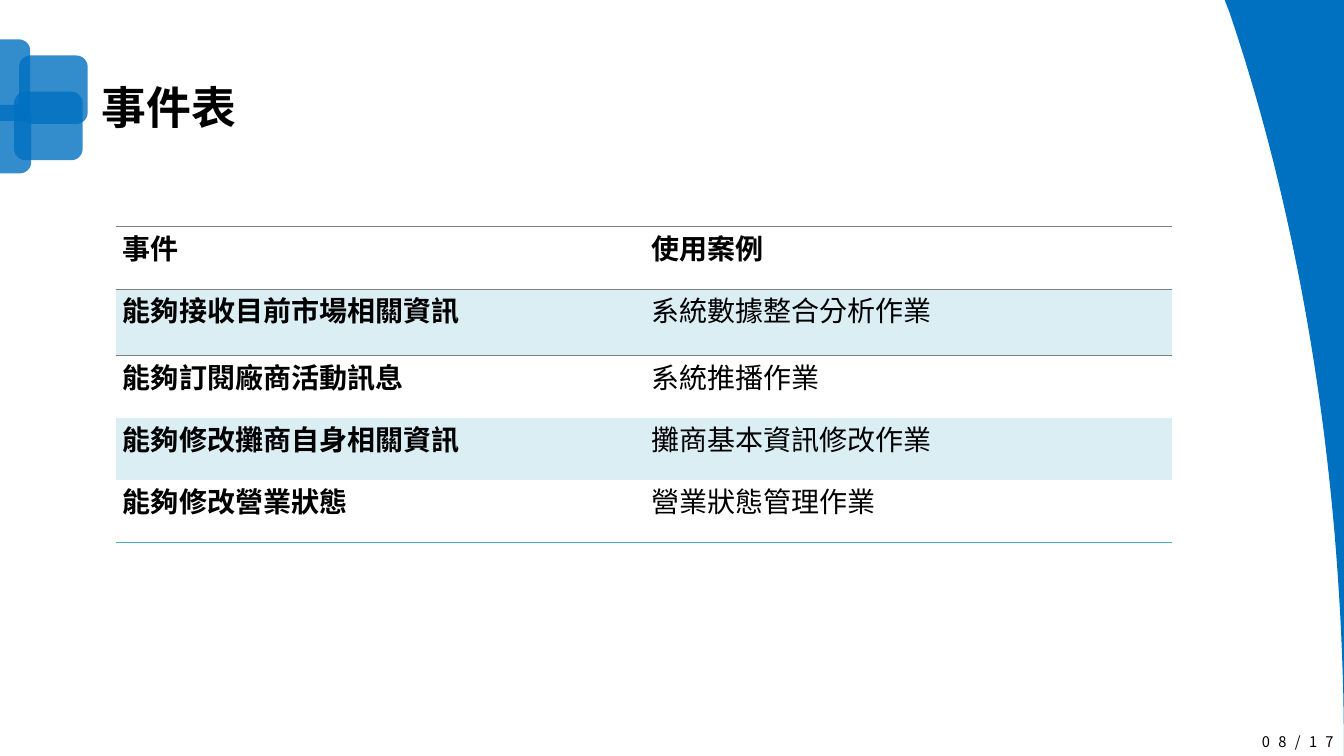
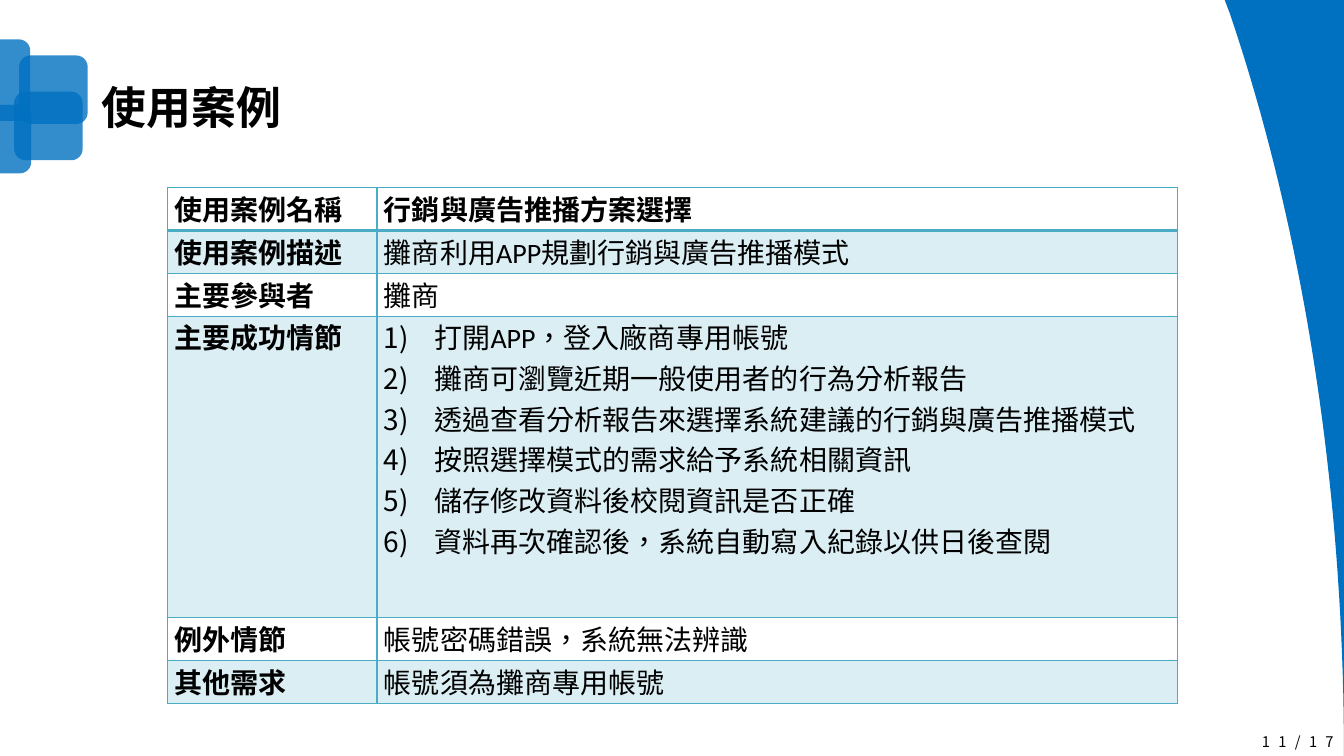
"""Build two slides that present events and a use case in tables."""
from dataclasses import dataclass

from lxml import etree
from pptx import Presentation
from pptx.dml.color import RGBColor
from pptx.enum.shapes import MSO_SHAPE
from pptx.enum.text import MSO_ANCHOR, PP_ALIGN
from pptx.oxml.ns import qn
from pptx.util import Inches, Pt

ROUNDED = MSO_SHAPE.ROUNDED_RECTANGLE
MIDDLE, TOP = MSO_ANCHOR.MIDDLE, MSO_ANCHOR.TOP
LEFT, RIGHT = PP_ALIGN.LEFT, PP_ALIGN.RIGHT

WIDTH, HEIGHT = Inches(13.33), Inches(7.5)
COLUMNS, ROWS = 160, 90
TITLE_ONLY = 5
PLAIN_TABLE = "{2D5ABB26-0587-4C30-8999-92F81FD0307C}"
BORDER_TAGS = {"left": "a:lnL", "right": "a:lnR", "top": "a:lnT", "bottom": "a:lnB"}

TITLE_BOX = (10.92, 9.48, 75.36, 7.2)
PAGE_BOX = (146.76, 86.52, 13.2, 3.48)
TILES = (
    (-4.56, 4.68, 8.16, 9.72),
    (2.28, 6.6, 8.16, 8.16),
    (1.68, 10.92, 8.16, 8.16),
    (-4.44, 12.48, 8.16, 8.16),
)
CURVE = ((160, 90), (160, 57.24), (154.92, 26.76), (146.4, 1.56))
CURVE_STEPS = 40
CURVE_TIP = (145.8, 0)

EVENTS = (
    ("事件", "使用案例"),
    ("能夠接收目前市場相關資訊", "系統數據整合分析作業"),
    ("能夠訂閱廠商活動訊息", "系統推播作業"),
    ("能夠修改攤商自身相關資訊", "攤商基本資訊修改作業"),
    ("能夠修改營業狀態", "營業狀態管理作業"),
)
SUCCESS_STEPS = (
    "打開APP，登入廠商專用帳號",
    "攤商可瀏覽近期一般使用者的行為分析報告",
    "透過查看分析報告來選擇系統建議的行銷與廣告推播模式",
    "按照選擇模式的需求給予系統相關資訊",
    "儲存修改資料後校閱資訊是否正確",
    "資料再次確認後，系統自動寫入紀錄以供日後查閱",
)
USE_CASE = (
    ("使用案例名稱", "行銷與廣告推播方案選擇"),
    ("使用案例描述", "攤商利用APP規劃行銷與廣告推播模式"),
    ("主要參與者", "攤商"),
    ("主要成功情節", SUCCESS_STEPS),
    ("例外情節", "帳號密碼錯誤，系統無法辨識"),
    ("其他需求", "帳號須為攤商專用帳號"),
)


@dataclass(frozen=True)
class Theme:
    """Colours, fonts and type sizes of the deck."""

    accent: str = "0070C0"
    text: str = "000000"
    line: str = "4BACC6"
    header_line: str = "7F7F7F"
    band: str = "DBEEF4"
    font: str = "Calibri"
    asian_font: str = "Noto Sans CJK SC"
    title_size: float = 32
    table_size: float = 20
    page_size: float = 10.5
    tile_opacity: int = 80


def assign(target, values):
    """Set each attribute of the target from a dict."""
    for name, value in values.items():
        setattr(target, name, value)


def bezier(points, share):
    """Return the point of a cubic curve at a share of its course."""
    rest = 1 - share
    weights = (rest**3, 3 * rest**2 * share, 3 * rest * share**2, share**3)
    return tuple(sum(w * p[axis] for w, p in zip(weights, points)) for axis in (0, 1))


class Deck:
    """A presentation with one style and a current slide."""

    def __init__(self, theme):
        """Start an empty presentation."""
        self.theme = theme
        self.presentation = Presentation()
        assign(self.presentation, {"slide_width": WIDTH, "slide_height": HEIGHT})
        self.slide = None

    def across(self, columns):
        """Turn grid columns into a length."""
        return round(WIDTH * columns / COLUMNS)

    def down(self, rows):
        """Turn grid rows into a length."""
        return round(HEIGHT * rows / ROWS)

    def place(self, box):
        """Turn a grid box into left, top, width and height."""
        left, top, width, height = box
        return self.across(left), self.down(top), self.across(width), self.down(height)

    def add_slide(self, title, page):
        """Add a slide with its shared decoration, title and page number."""
        layout = self.presentation.slide_layouts[TITLE_ONLY]
        self.slide = self.presentation.slides.add_slide(layout)
        for box in TILES:
            self.add_tile(box)
        self.add_curve()
        self.add_title(title)
        self.add_page(page)

    def paint(self, shape):
        """Fill a shape with the accent colour, without line or shadow."""
        shape.shadow.inherit = False
        shape.fill.solid()
        shape.fill.fore_color.rgb = RGBColor.from_string(self.theme.accent)
        shape.line.fill.background()

    def add_tile(self, box):
        """Add a translucent rounded tile."""
        tile = self.slide.shapes.add_shape(ROUNDED, *self.place(box))
        self.paint(tile)
        color = tile._element.spPr.find(".//" + qn("a:srgbClr"))
        opacity = str(self.theme.tile_opacity * 1000)
        etree.SubElement(color, qn("a:alpha"), val=opacity)

    def add_curve(self):
        """Add the curved band at the right edge."""
        arc = [bezier(CURVE, step / CURVE_STEPS) for step in range(CURVE_STEPS + 1)]
        outline = [
            (self.across(x), self.down(y)) for x, y in (CURVE_TIP, (COLUMNS, 0), *arc)
        ]
        builder = self.slide.shapes.build_freeform(*outline[0])
        builder.add_line_segments(outline[1:], close=True)
        self.paint(builder.convert_to_shape())

    def add_text(self, paragraph, text, size, bold=False, font=None):
        """Add a run of text and return its properties element."""
        run = paragraph.add_run()
        run.text = text
        assign(
            run.font,
            {"size": Pt(size), "bold": bold, "name": font or self.theme.font},
        )
        run.font.color.rgb = RGBColor.from_string(self.theme.text)
        properties = run._r.get_or_add_rPr()
        properties.set("lang", "zh-TW")
        latin = properties.find(qn("a:latin"))
        asian = etree.Element(qn("a:ea"), typeface=self.theme.asian_font)
        latin.addnext(asian)
        return properties

    def add_title(self, text):
        """Place and fill the title placeholder."""
        title = self.slide.shapes.title
        names = ("left", "top", "width", "height")
        assign(title, dict(zip(names, self.place(TITLE_BOX))))
        assign(title.text_frame, {"vertical_anchor": MIDDLE, "word_wrap": True})
        paragraph = title.text_frame.paragraphs[0]
        assign(
            paragraph,
            {"alignment": LEFT, "line_spacing": 0.9, "space_before": Pt(10)},
        )
        self.add_text(paragraph, text, self.theme.title_size, bold=True)

    def add_page(self, text):
        """Add the widely spaced page number."""
        frame = self.slide.shapes.add_textbox(*self.place(PAGE_BOX)).text_frame
        assign(frame, {"vertical_anchor": MIDDLE, "word_wrap": True})
        paragraph = frame.paragraphs[0]
        paragraph.alignment = RIGHT
        properties = self.add_text(
            paragraph, text, self.theme.page_size, font=self.theme.asian_font
        )
        properties.set("spc", "600")

    def add_borders(self, cell, borders):
        """Draw the borders given as side to colour and width."""
        properties = cell._tc.get_or_add_tcPr()
        for side, tag in BORDER_TAGS.items():
            if side in borders:
                color, width = borders[side]
                line = etree.SubElement(properties, qn(tag), w=str(Pt(width)))
                fill = etree.SubElement(line, qn("a:solidFill"))
                etree.SubElement(fill, qn("a:srgbClr"), val=color)

    def fill_cell(self, cell, content, bold, banded):
        """Put a text or a numbered list into a cell."""
        assign(
            cell,
            {
                "margin_left": Inches(0.07),
                "margin_right": Inches(0.07),
                "margin_top": 0,
                "margin_bottom": 0,
                "vertical_anchor": TOP,
            },
        )
        if banded:
            cell.fill.solid()
            cell.fill.fore_color.rgb = RGBColor.from_string(self.theme.band)
        else:
            cell.fill.background()
        numbered = not isinstance(content, str)
        frame = cell.text_frame
        for index, text in enumerate(content if numbered else (content,)):
            paragraph = frame.add_paragraph() if index else frame.paragraphs[0]
            self.add_text(paragraph, text, self.theme.table_size, bold)
            if numbered:
                properties = paragraph._p.get_or_add_pPr()
                indent = Inches(0.5)
                properties.set("marL", str(indent))
                properties.set("indent", str(-indent))
                etree.SubElement(properties, qn("a:buAutoNum"), type="arabicParenR")

    def grid_borders(self, row, last):
        """Return a full grid with a heavy line below the header."""
        thin, heavy = (self.theme.line, 1), (self.theme.line, 2)
        return {
            "left": thin,
            "right": thin,
            "top": heavy if row == 1 else thin,
            "bottom": heavy if row == 0 else thin,
        }

    def rule_borders(self, row, last):
        """Return rules around the header and below the last row."""
        header = (self.theme.header_line, 1)
        if row == 0:
            return {"top": header, "bottom": header}
        if row == 1:
            return {"top": header}
        return {"bottom": (self.theme.line, 1)} if row == last else {}

    def add_table(self, corner, widths, heights, rows, borders):
        """Add a banded table with a bold header row and first column."""
        box = (*corner, sum(widths), sum(heights))
        frame = self.slide.shapes.add_table(len(rows), len(widths), *self.place(box))
        table = frame.table
        assign(table, {"first_row": False, "horz_banding": False})
        table._tbl.tblPr.find(qn("a:tableStyleId")).text = PLAIN_TABLE
        for column, width in zip(table.columns, widths):
            column.width = self.across(width)
        for index, (height, contents) in enumerate(zip(heights, rows)):
            table.rows[index].height = self.down(height)
            for position, content in enumerate(contents):
                cell = table.cell(index, position)
                self.add_borders(cell, borders(index, len(rows) - 1))
                bold = index == 0 or position == 0
                self.fill_cell(cell, content, bold, banded=index % 2 == 1)


def main():
    """Build and save the slides."""
    deck = Deck(Theme())
    deck.add_slide("事件表", "08/17")
    event_heights = (7.44, 7.92, 7.38, 7.38, 7.44)
    deck.add_table((13.8, 27), (62.88,) * 2, event_heights, EVENTS, deck.rule_borders)
    deck.add_slide("使用案例", "11/17")
    case_heights = [35.84 if row[1] is SUCCESS_STEPS else 5.12 for row in USE_CASE]
    deck.add_table(
        (19.92, 22.32), (24.96, 95.28), case_heights, USE_CASE, deck.grid_borders
    )
    deck.presentation.save("out.pptx")


if __name__ == "__main__":
    main()
